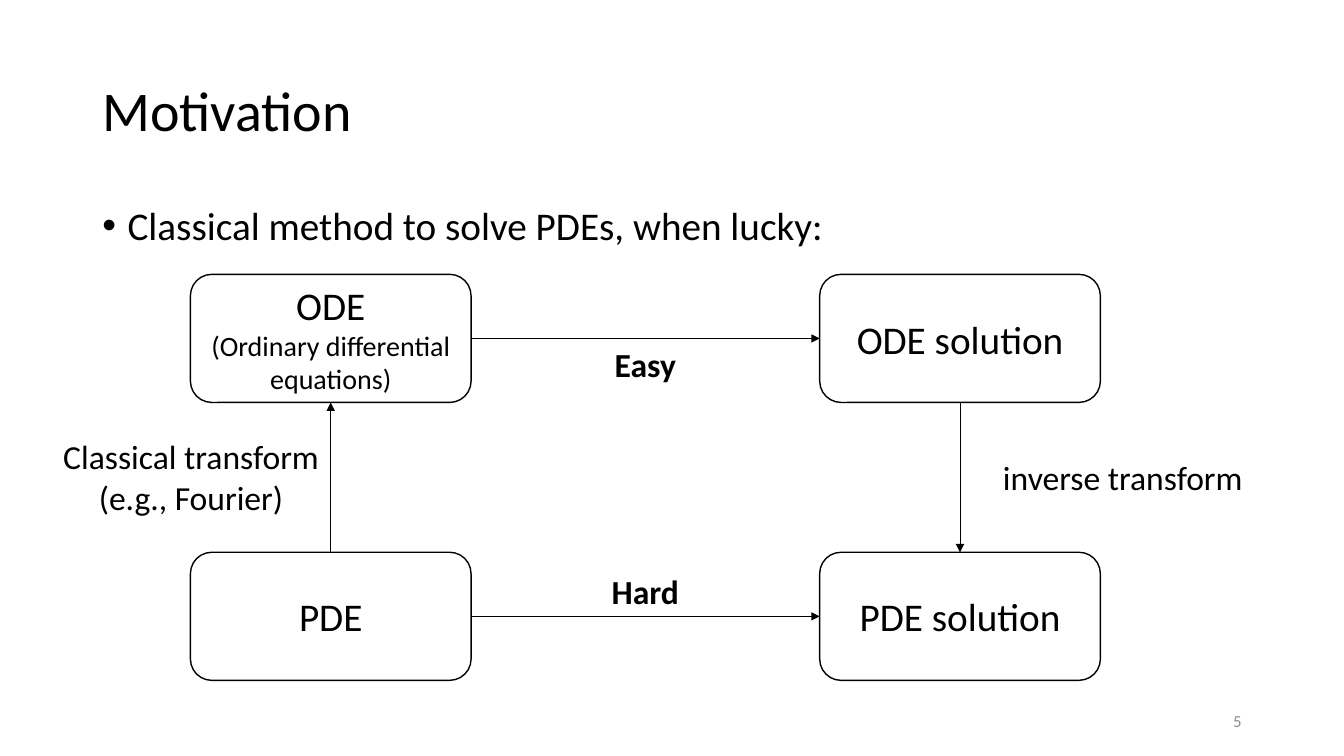
from pptx import Presentation
from pptx.dml.color import RGBColor
from pptx.enum.shapes import MSO_CONNECTOR, MSO_SHAPE
from pptx.enum.text import MSO_ANCHOR, MSO_AUTO_SIZE, PP_ALIGN
from pptx.oxml.ns import qn
from pptx.util import Pt
from lxml import etree

LEFT, CENTER, RIGHT = PP_ALIGN.LEFT, PP_ALIGN.CENTER, PP_ALIGN.RIGHT
TOP, MIDDLE = MSO_ANCHOR.TOP, MSO_ANCHOR.MIDDLE
BLACK, WHITE, GRAY = "000000", "FFFFFF", "8C8C8C"
SITE_TOP, SITE_LEFT, SITE_BOTTOM, SITE_RIGHT = range(4)

# Content: lines are (text, size); boxes sit on a grid of (column, row)
TITLE = [("Motivation", 40)]
BULLETS = [("Classical method to solve PDEs, when lucky:", 28)]
PAGE_NUMBER = [("5", 12)]
BOXES = {
    "PDE": (0, 1, [("PDE", 28)]),
    "ODE": (0, 0, [("ODE", 28), ("(Ordinary differential equations)", 20)]),
    "PDE solution": (1, 1, [("PDE solution", 28)]),
    "ODE solution": (1, 0, [("ODE solution", 28)]),
}
ARROWS = [
    ("PDE", SITE_TOP, "ODE", SITE_BOTTOM),
    ("ODE", SITE_RIGHT, "ODE solution", SITE_LEFT),
    ("ODE solution", SITE_BOTTOM, "PDE solution", SITE_TOP),
    ("PDE", SITE_RIGHT, "PDE solution", SITE_LEFT),
]
# Arrow labels: lines, left, top, height, bold
LABELS = [
    ([("Classical transform", 24), ("(e.g., Fourier)", 24)], 20.5, 308, 65.5, False),
    ([("inverse transform", 24)], 686, 322.5, 36, False),
    ([("Easy", 24)], 345, 242, 36, True),
    ([("Hard", 24)], 345, 404, 36, True),
]

# Layout
SLIDE_WIDTH, SLIDE_HEIGHT = 960, 540
BOX_WIDTH, BOX_HEIGHT = 200.5, 91.5
GRID_LEFT, GRID_TOP = 136, 196
COLUMN_STEP, ROW_STEP = 449.5, 198.5
LABEL_WIDTH = 232


def color(hex_string):
    return RGBColor.from_string(hex_string)


def place(shape, left, top, width, height):
    shape.left, shape.top, shape.width, shape.height = map(Pt, (left, top, width, height))


def write(shape, lines, align=CENTER, anchor=MIDDLE, ink=BLACK, bold=False):
    frame = shape.text_frame
    frame.text = "\n".join(text for text, size in lines)
    frame.word_wrap = True
    frame.auto_size = MSO_AUTO_SIZE.NONE
    frame.vertical_anchor = anchor
    for paragraph, (text, size) in zip(frame.paragraphs, lines):
        paragraph.alignment = align
        font = paragraph.font
        font.name, font.size, font.bold = "Calibri", Pt(size), bold
        font.color.rgb = color(ink)
    return frame.paragraphs


def add_label(slide, bounds, lines, **style):
    textbox = slide.shapes.add_textbox(*map(Pt, bounds))
    write(textbox, lines, **style)


def add_box(slide, column, row, lines):
    left, top = GRID_LEFT + column * COLUMN_STEP, GRID_TOP + row * ROW_STEP
    box = slide.shapes.add_shape(MSO_SHAPE.ROUNDED_RECTANGLE,
                                 *map(Pt, (left, top, BOX_WIDTH, BOX_HEIGHT)))
    box.shadow.inherit = False
    box.fill.solid()
    box.fill.fore_color.rgb = color(WHITE)
    box.line.color.rgb = color(BLACK)
    box.line.width = Pt(1)
    write(box, lines)
    return box


def add_arrow(slide, start, start_site, end, end_site):
    arrow = slide.shapes.add_connector(MSO_CONNECTOR.STRAIGHT, 0, 0, 0, 0)
    arrow.begin_connect(start, start_site)
    arrow.end_connect(end, end_site)
    arrow.line.color.rgb = color(BLACK)
    arrow.line.width = Pt(0.5)
    etree.SubElement(arrow.line._get_or_add_ln(), qn("a:tailEnd"), type="triangle")
    etree.SubElement(arrow._element.spPr, qn("a:effectLst"))


presentation = Presentation()
presentation.slide_width, presentation.slide_height = Pt(SLIDE_WIDTH), Pt(SLIDE_HEIGHT)
slide = presentation.slides.add_slide(presentation.slide_layouts[1])

# Title and bullet list
title, body = slide.placeholders
place(title, 66, 29, 828, 104)
place(body, 66, 144, 828, 343)
for paragraph in write(title, TITLE, align=LEFT):
    paragraph.line_spacing = 0.9
for paragraph in write(body, BULLETS, align=LEFT, anchor=TOP):
    paragraph.line_spacing = 0.9
    paragraph.space_before = Pt(10)
    properties = paragraph._p.get_or_add_pPr()
    properties.set("marL", str(Pt(18)))
    properties.set("indent", str(-Pt(18)))

# Page number
add_label(slide, (678, 500.5, 216, 28.5), PAGE_NUMBER, align=RIGHT, ink=GRAY)

# Diagram: boxes, arrows between them, arrow labels
boxes = {name: add_box(slide, *box) for name, box in BOXES.items()}
for start, start_site, end, end_site in ARROWS:
    add_arrow(slide, boxes[start], start_site, boxes[end], end_site)
for lines, left, top, height, bold in LABELS:
    add_label(slide, (left, top, LABEL_WIDTH, height), lines, anchor=TOP, bold=bold)

presentation.save("out.pptx")
